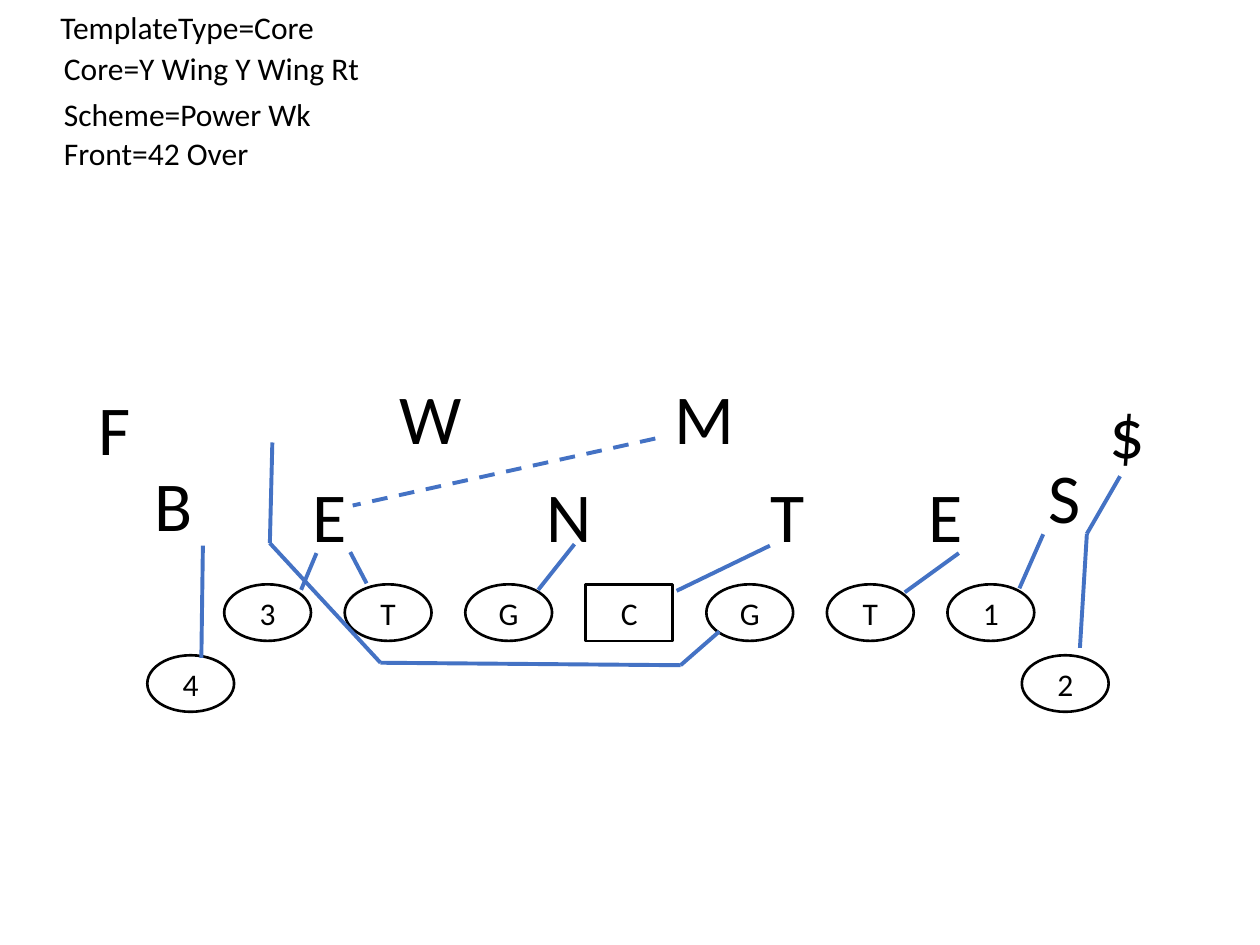
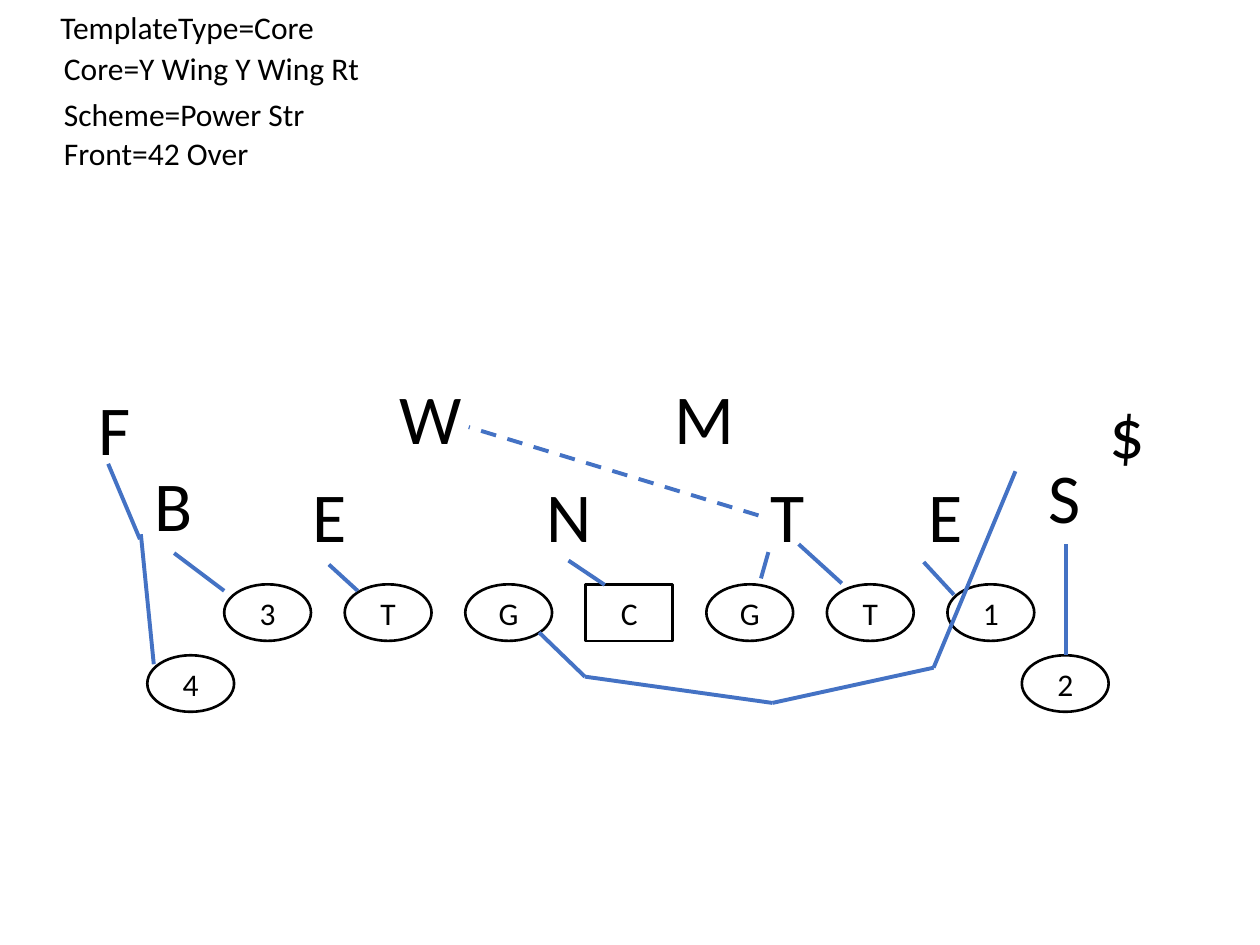
"""Build two football blocking diagrams that share one formation and one front."""
import pptx
import pptx.util
import pptx.dml.color
import pptx.enum.dml
import pptx.enum.shapes
import pptx.enum.text
import pptx.oxml.ns
import lxml.etree

Cm, Pt = pptx.util.Cm, pptx.util.Pt
FONT, BLACK, WHITE, BLUE = "Calibri", "000000", "FFFFFF", "4472C4"

LINE_LEFT, LINE_TOP, LINE_PITCH = 4.52, 11.78, 2.43
WING_TOP = 13.21
BLOCKER_WIDTH, BLOCKER_HEIGHT = 1.75, 1.14
LABEL_HEIGHT, DEFENDER_HEIGHT = 1.02, 1.96

LINEMEN = ["3", "T", "G", "C", "G", "T", "1"]
WINGS = [("4", 2.97), ("2", 20.6)]
DEFENDERS = [
    ("N", 10.77, 9.4, 1.42, False),
    ("T", 15.29, 9.4, 1.22, False),
    ("E", 18.47, 9.4, 1.22, False),
    ("E", 6.05, 9.4, 1.22, False),
    ("W", 7.8, 7.42, 1.78, False),
    ("M", 13.34, 7.42, 1.78, False),
    ("S", 20.88, 9.02, 1.22, False),
    ("B", 2.87, 9.17, 1.3, False),
    ("$", 22.12, 7.7, 0.99, True),
    ("F", 1.73, 7.65, 0.89, True),
]
LABELS = [
    ("TemplateType=Core", 0.97, 0.03, 5.69),
    ("Core=Y Wing Y Wing Rt", 1.04, 0.86, 6.53),
    ("Scheme={scheme}", 1.04, 1.8, 5.5),
    ("Front=42 Over", 1.04, 2.57, 4.42),
]
PLAYS = [
    {
        "scheme": "Power Wk",
        "blocks": [
            [(21.03, 10.77), (20.55, 11.86)],
            [(22.58, 9.6), (21.91, 10.76), (21.77, 13.06)],
            [(19.33, 11.15), (18.24, 11.94)],
            [(15.52, 11), (13.64, 11.91)],
            [(11.58, 10.97), (10.85, 11.89)],
            [(6.38, 11.15), (6.07, 11.89)],
            [(4.09, 11), (4.06, 13.26)],
            [(7.06, 11.13), (7.39, 11.76)],
        ],
        "read": [(13.21, 8.84), (7.11, 10.19)],
        "pull": [(14.5, 12.73), (13.72, 13.41), (7.67, 13.36), (5.44, 10.95), (5.49, 8.92)],
    },
    {
        "scheme": "Power Str",
        "blocks": [
            [(6.63, 11.38), (7.21, 11.91)],
            [(11.46, 11.3), (12.19, 11.79)],
            [(18.62, 11.33), (19.23, 11.99)],
            [(21.49, 10.97), (21.49, 13.21)],
            [(3.51, 11.15), (4.52, 11.91)],
            [(2.84, 10.77), (3.1, 13.39)],
            [(2.82, 10.87), (2.18, 9.35)],
            [(15.49, 11.13), (15.34, 11.66)],
            [(16.1, 10.97), (16.97, 11.76)],
        ],
        "read": [(15.29, 10.39), (9.45, 8.61)],
        "pull": [(10.87, 12.75), (11.79, 13.64), (15.57, 14.17), (18.82, 13.46), (20.47, 9.5)],
    },
]


def color(value):
    return pptx.dml.color.RGBColor.from_string(value)


def write(shape, text, size):
    paragraph = shape.text_frame.paragraphs[0]
    paragraph.text = text
    paragraph.font.name = FONT
    paragraph.font.size = Pt(size)
    paragraph.font.color.rgb = color(BLACK)
    return paragraph


def add_text(slide, text, left, top, width, height, size, wrap=False):
    box = slide.shapes.add_textbox(Cm(left), Cm(top), Cm(width), Cm(height))
    box.text_frame.word_wrap = wrap
    box.text_frame.auto_size = pptx.enum.text.MSO_AUTO_SIZE.SHAPE_TO_FIT_TEXT
    write(box, text, size)


def add_blocker(slide, text, left, top):
    kinds = pptx.enum.shapes.MSO_SHAPE
    kind = kinds.RECTANGLE if text == "C" else kinds.OVAL
    shape = slide.shapes.add_shape(kind, Cm(left), Cm(top), Cm(BLOCKER_WIDTH), Cm(BLOCKER_HEIGHT))
    shape.shadow.inherit = False
    shape.fill.solid()
    shape.fill.fore_color.rgb = color(WHITE)
    shape.line.color.rgb = color(BLACK)
    shape.line.width = Pt(1.5)
    shape.text_frame.vertical_anchor = pptx.enum.text.MSO_ANCHOR.MIDDLE
    write(shape, text, 18).alignment = pptx.enum.text.PP_ALIGN.CENTER


def add_route(slide, points, dashed=False):
    for start, end in zip(points, points[1:]):
        connector = slide.shapes.add_connector(
            pptx.enum.shapes.MSO_CONNECTOR.STRAIGHT, *(Cm(value) for value in start + end))
        connector.line.color.rgb = color(BLUE)
        connector.line.width = Pt(2.25)
        if dashed:
            connector.line.dash_style = pptx.enum.dml.MSO_LINE.DASH
        properties = connector.element.find(pptx.oxml.ns.qn("p:spPr"))
        lxml.etree.SubElement(properties, pptx.oxml.ns.qn("a:effectLst"))


def add_play(presentation, play):
    slide = presentation.slides.add_slide(presentation.slide_layouts[6])
    for index, text in enumerate(LINEMEN):
        add_blocker(slide, text, LINE_LEFT + index * LINE_PITCH, LINE_TOP)
    for text, left in WINGS:
        add_blocker(slide, text, left, WING_TOP)
    for text, left, top, width, wrap in DEFENDERS:
        add_text(slide, text, left, top, width, DEFENDER_HEIGHT, 40, wrap)
    for points in play["blocks"]:
        add_route(slide, points)
    add_route(slide, play["read"], dashed=True)
    add_route(slide, play["pull"])
    for text, left, top, width in LABELS:
        add_text(slide, text.format(scheme=play["scheme"]), left, top, width, LABEL_HEIGHT, 18)


presentation = pptx.Presentation()
presentation.slide_width, presentation.slide_height = Cm(25.4), Cm(19.05)
for play in PLAYS:
    add_play(presentation, play)
presentation.save("out.pptx")
